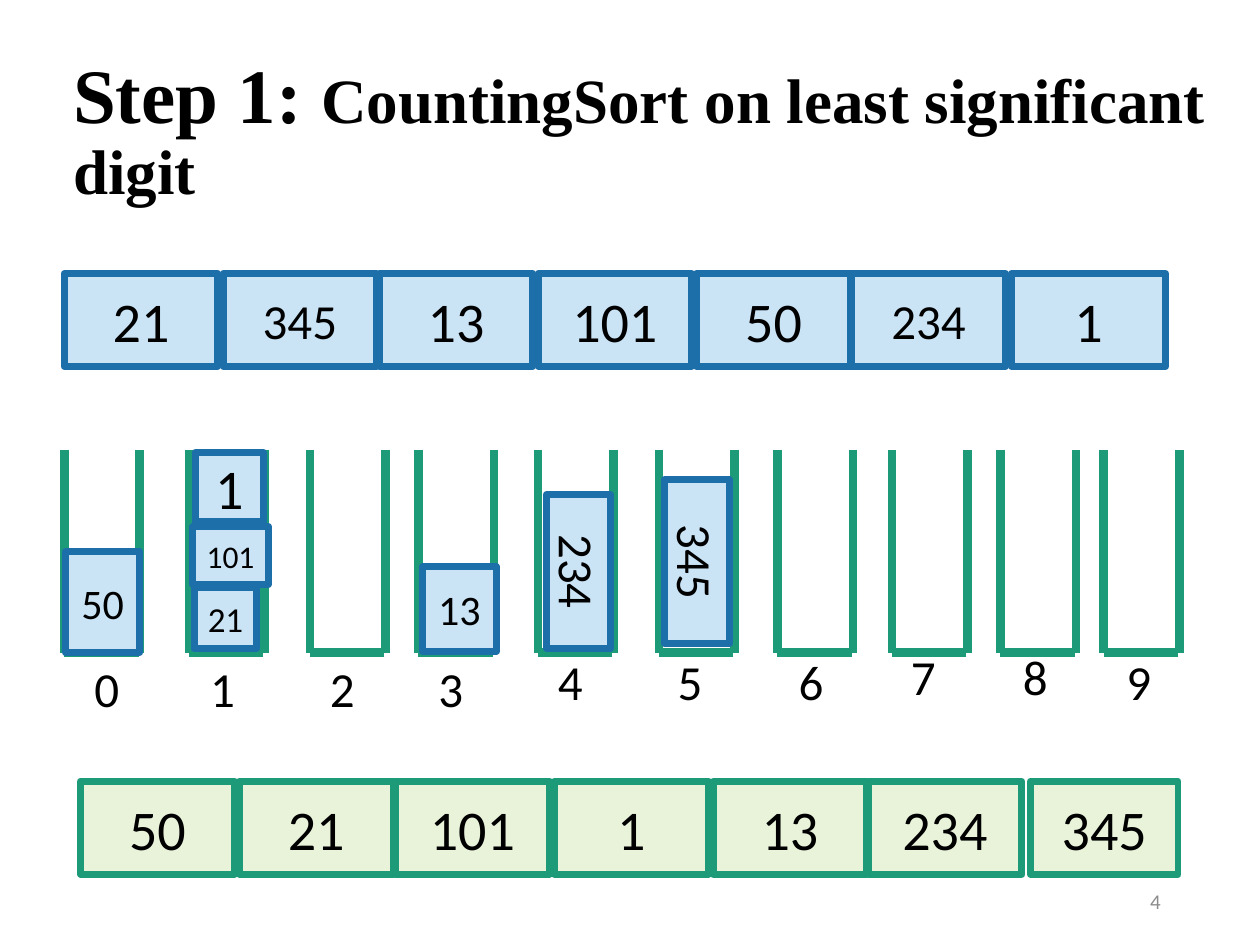
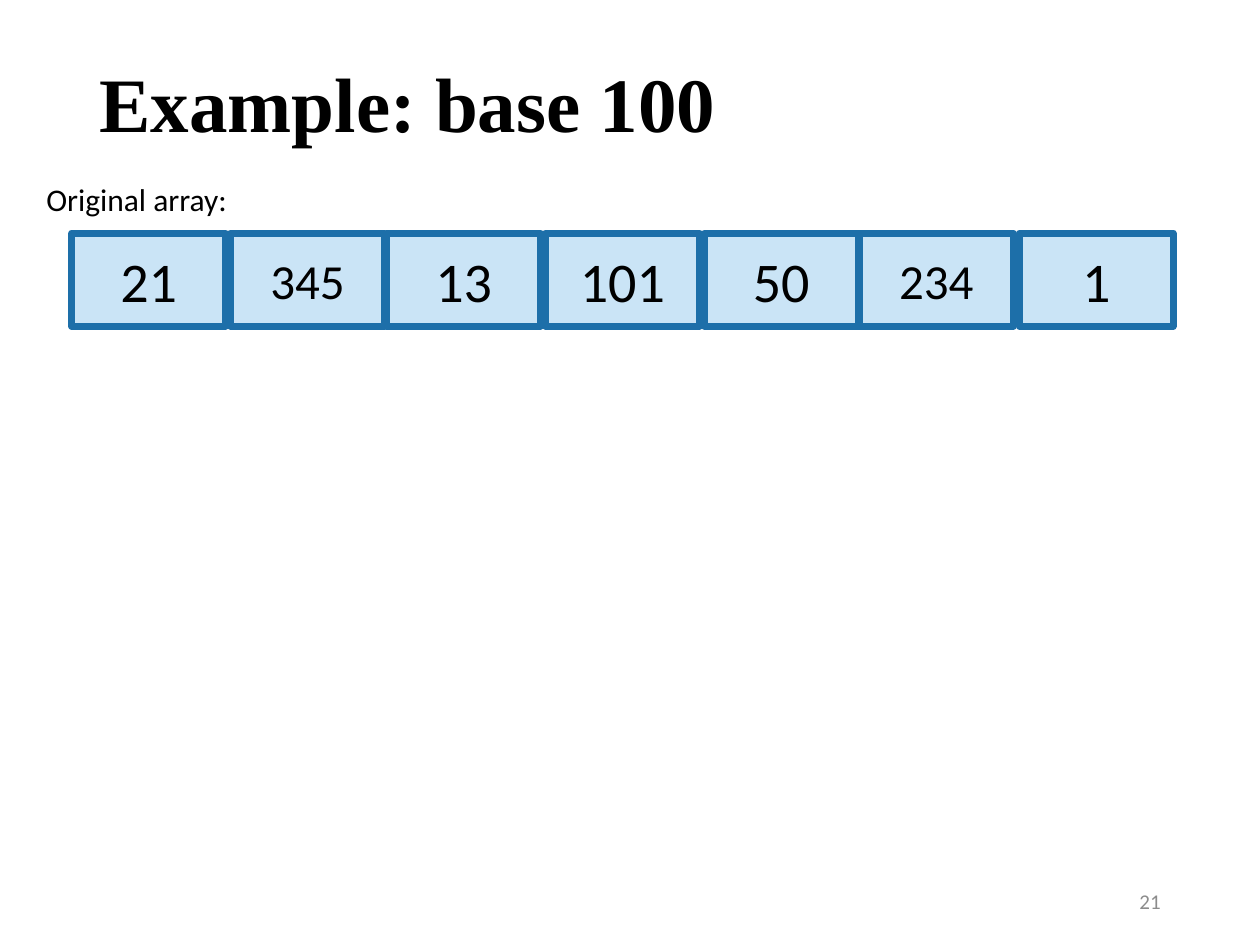
from lxml.etree import SubElement
from pptx import Presentation
from pptx.dml.color import RGBColor
from pptx.enum.shapes import MSO_CONNECTOR, MSO_SHAPE
from pptx.enum.text import MSO_ANCHOR, MSO_AUTO_SIZE, PP_ALIGN
from pptx.oxml.ns import qn
from pptx.util import Pt

PX = 9144
COLORS = {
    "ink": "000000",
    "muted": "8C8C8C",
    "blue": "1D6FA9",
    "pale_blue": "CAE4F6",
    "green": "1D9A78",
    "pale_green": "E8F3DA",
}
INPUT_STYLE = ("pale_blue", "blue")
OUTPUT_STYLE = ("pale_green", "green")
BODY_FONT, TITLE_FONT = "Calibri", "Times New Roman"

CELL_OFFSETS = (0, 126, 250, 376, 502, 625, 752)
CELL_WIDTH, CELL_HEIGHT = 122, 74
UNSORTED = (("21", 32), ("345", 28), ("13", 32), ("101", 32),
            ("50", 32), ("234", 28), ("1", 32))
SORTED_BY_LAST_DIGIT = ("50", "21", "101", "1", "13", "234", "345")

BUCKET_TOP, BUCKET_BOTTOM, BUCKET_WIDTH = 357, 518, 60
BUCKETS = (
    (51, 14, 518), (150, 7, 518), (246, 6, 518), (332, 6, 518), (427, 6, 512),
    (523, 5, 512), (617, 7, 512), (708, 5, 508), (794, 8, 508), (876, 8, 512),
)
BUCKET_ITEMS = (
    ("345", 28, (488, 420, 130, 52), 90),
    ("50", 24, (52, 438, 59, 80), 0),
    ("13", 24, (335, 450, 59, 67), 0),
    ("21", 20, (154, 466, 50, 49), 0),
    ("101", 18, (153, 418, 60, 46), 0),
    ("1", 32, (155, 359, 54, 55), 0),
    ("234", 28, (398, 428, 122, 51), 90),
)


def emu(*lengths):
    """Turn px lengths into EMU."""
    return [length * PX for length in lengths]


def color(name):
    """Look up a palette colour."""
    return RGBColor.from_string(COLORS[name])


def add_run(paragraph, words, size, font=BODY_FONT, ink="ink", bold=False):
    """Append one formatted run."""
    run = paragraph.add_run()
    run.text = words
    run.font.size = Pt(size)
    run.font.name = font
    run.font.bold = bold
    run.font.color.rgb = color(ink)


def add_label(shapes, box, words, size, align=PP_ALIGN.LEFT, wrap=True,
              anchor=MSO_ANCHOR.TOP, ink="ink"):
    """Add a one-line text box."""
    frame = shapes.add_textbox(*emu(*box)).text_frame
    frame.word_wrap = wrap
    frame.vertical_anchor = anchor
    frame.paragraphs[0].alignment = align
    add_run(frame.paragraphs[0], words, size, ink=ink)


def add_cell(shapes, box, number, size, style, rotation=0):
    """Add a bordered rectangle holding one number."""
    fill, border = style
    cell = shapes.add_shape(MSO_SHAPE.RECTANGLE, *emu(*box))
    cell.shadow.inherit = False
    cell.rotation = rotation
    cell.fill.solid()
    cell.fill.fore_color.rgb = color(fill)
    cell.line.color.rgb = color(border)
    cell.line.width = Pt(4)
    frame = cell.text_frame
    frame.word_wrap = True
    frame.vertical_anchor = MSO_ANCHOR.MIDDLE
    frame.paragraphs[0].alignment = PP_ALIGN.CENTER
    add_run(frame.paragraphs[0], number, size)


def add_array(slide, left, top, entries, style, last_offset=752, last_width=CELL_WIDTH):
    """Add a row of array cells as one group."""
    shapes = slide.shapes.add_group_shape().shapes
    offsets = (*CELL_OFFSETS[:-1], last_offset)
    widths = [CELL_WIDTH] * (len(offsets) - 1) + [last_width]
    for (number, size), offset, width in zip(entries, offsets, widths):
        add_cell(shapes, (left + offset, top, width, CELL_HEIGHT), number, size, style)


def add_bucket(slide, left):
    """Add the two walls and the floor of a bucket."""
    shapes = slide.shapes.add_group_shape().shapes
    right = left + BUCKET_WIDTH
    for ends in ((left, BUCKET_TOP, left, BUCKET_BOTTOM),
                 (right, BUCKET_TOP, right, BUCKET_BOTTOM),
                 (right - 1, BUCKET_BOTTOM, left, BUCKET_BOTTOM)):
        side = shapes.add_connector(MSO_CONNECTOR.STRAIGHT, *emu(*ends))
        side.line.color.rgb = color("green")
        side.line.width = Pt(5)
        SubElement(side._element.spPr, qn("a:effectLst"))


def add_buckets(slide):
    """Add the ten digit buckets, their labels and their contents."""
    for digit, (left, label_shift, label_top) in enumerate(BUCKETS):
        add_bucket(slide, left)
        add_label(slide.shapes, (left + label_shift, label_top, 35, 57), str(digit), 28,
                  PP_ALIGN.CENTER, wrap=False)
    for number, size, box, rotation in BUCKET_ITEMS:
        add_cell(slide.shapes, box, number, size, INPUT_STYLE, rotation)


def start_slide(deck, title_box, title_runs, page):
    """Add a slide with its title and page number."""
    slide = deck.slides.add_slide(deck.slide_layouts[5])
    title = slide.shapes.title
    title.left, title.top, title.width, title.height = emu(*title_box)
    frame = title.text_frame
    frame.word_wrap = True
    frame.auto_size = MSO_AUTO_SIZE.NONE
    frame.vertical_anchor = MSO_ANCHOR.MIDDLE
    heading = frame.paragraphs[0]
    heading.alignment = PP_ALIGN.LEFT
    heading.line_spacing = 0.9
    heading.space_before = Pt(0)
    for words, size in title_runs:
        add_run(heading, words, size, TITLE_FONT, bold=True)
    add_label(slide.shapes, (706, 695, 225, 40), page, 12, PP_ALIGN.RIGHT,
              anchor=MSO_ANCHOR.MIDDLE, ink="muted")
    return slide


def build_step_slide(deck):
    """Build the slide that sorts by the least significant digit."""
    slide = start_slide(deck, (48, 33, 952, 145),
                        (("Step 1: ", 44), ("CountingSort on least significant digit", 36)), "4")
    add_array(slide, 51, 217, UNSORTED, INPUT_STYLE)
    add_buckets(slide)
    add_array(slide, 64, 620, [(number, 32) for number in SORTED_BY_LAST_DIGIT],
              OUTPUT_STYLE, last_offset=754, last_width=117)


def build_base_slide(deck):
    """Build the slide that opens the base 100 example."""
    slide = start_slide(deck, (69, 40, 862, 91), (("Example: base 100", 44),), "21")
    add_array(slide, 57, 185, UNSORTED, INPUT_STYLE)
    add_label(slide.shapes, (27, 138, 324, 40), "Original array:", 18)


def main():
    """Build and save the deck."""
    deck = Presentation()
    deck.slide_width, deck.slide_height = emu(1000, 750)
    build_step_slide(deck)
    build_base_slide(deck)
    deck.save("out.pptx")


if __name__ == "__main__":
    main()
